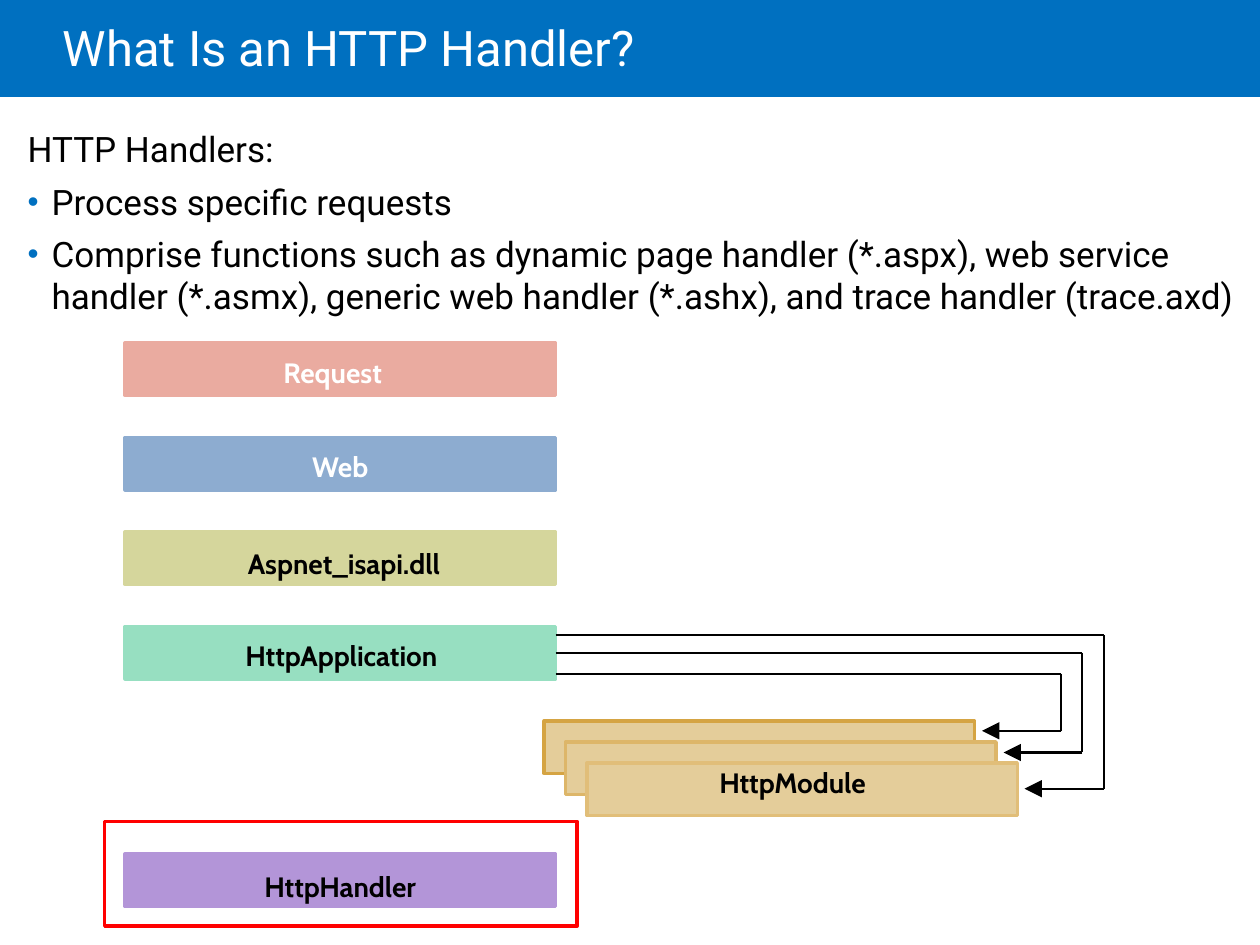
from lxml import etree
from pptx import Presentation
from pptx.dml.color import RGBColor
from pptx.enum.shapes import MSO_CONNECTOR as Connector, MSO_SHAPE as Preset
from pptx.enum.text import MSO_ANCHOR as Anchor, PP_ALIGN as Align
from pptx.oxml.ns import qn
from pptx.util import Pt

BLUE, BLACK, WHITE = "0070C0", "000000", "FFFFFF"
SAND = "E4CD9A"
BOX_LEFT, BOX_WIDTH, BOX_HEIGHT = 71.5, 246, 30
BOX_RIGHT = BOX_LEFT + BOX_WIDTH
STACK_TOP, STACK_STEP = 196, 54
LABEL_HEIGHT = 26.6

# name, fill, text colour, label left, label top, label width
STAGES = [
    ("Request", "EAABA0", WHITE, 129.6, 199.4, 121),
    ("Web", "8DACD0", WHITE, 133.9, 253.4, 121),
    ("Aspnet_isapi.dll", "D5D69C", BLACK, 107.3, 308.9, 178.6),
    ("HttpApplication", "97DFC1", BLACK, 116.6, 361.4, 157),
]
MODULE_LINES = ["D5A443", "DDB669", "E1BE79"]
# start height, turn position, arrow tip position and height
ROUTES = [
    (385, 606.5, 561.2, 417.6),
    (373, 618.5, 573.5, 430),
    (363, 630.7, 585.5, 450.7),
]


def color(value):
    return RGBColor.from_string(value)


def add_box(slide, left, top, width, height, fill=None, line=None, line_width=2):
    shape = slide.shapes.add_shape(
        Preset.RECTANGLE, Pt(left), Pt(top), Pt(width), Pt(height))
    shape.shadow.inherit = False
    if fill:
        shape.fill.solid()
        shape.fill.fore_color.rgb = color(fill)
    else:
        shape.fill.background()
    if line:
        shape.line.color.rgb = color(line)
        shape.line.width = Pt(line_width)
    else:
        shape.line.fill.background()
    return shape


def add_bullet(paragraph, char, bullet_color):
    properties = paragraph._p.get_or_add_pPr()
    properties.set("marL", str(Pt(13.7)))
    properties.set("indent", str(-Pt(13.7)))
    holder = etree.SubElement(properties, qn("a:buClr"))
    etree.SubElement(holder, qn("a:srgbClr"), val=bullet_color)
    etree.SubElement(properties, qn("a:buSzPct"), val="90000")
    etree.SubElement(properties, qn("a:buFont"), typeface="Arial")
    etree.SubElement(properties, qn("a:buChar"), char=char)


def format_paragraph(paragraph, text, size=16, font="Roboto", text_color=BLACK,
                     bold=False, align=None, bullet=None, before=0, spacing=None):
    paragraph.text = text
    if bullet:
        add_bullet(paragraph, bullet, BLUE)
    paragraph.alignment = align
    paragraph.space_before = Pt(before)
    paragraph.line_spacing = spacing
    paragraph.font.size = Pt(size)
    paragraph.font.name = font
    paragraph.font.bold = bold
    paragraph.font.color.rgb = color(text_color)


def add_text_frame(slide, left, top, width, height,
                   insets=(7.2, 3.6, 7.2, 3.6), anchor=Anchor.TOP):
    box = slide.shapes.add_textbox(Pt(left), Pt(top), Pt(width), Pt(height))
    frame = box.text_frame
    frame.word_wrap = True
    frame.vertical_anchor = anchor
    (frame.margin_left, frame.margin_top,
     frame.margin_right, frame.margin_bottom) = map(Pt, insets)
    return frame


def add_label(slide, text, left, top, width, text_color=BLACK):
    frame = add_text_frame(slide, left, top, width, LABEL_HEIGHT)
    format_paragraph(frame.paragraphs[0], text, font="Cabin", bold=True,
                     text_color=text_color, align=Align.CENTER)


def add_line(slide, start, end, arrow=False):
    connector = slide.shapes.add_connector(
        Connector.STRAIGHT, *map(Pt, (*start, *end)))
    connector.line.color.rgb = color(BLACK)
    connector.line.width = Pt(1.25)
    if arrow:
        etree.SubElement(connector.line._get_or_add_ln(), qn("a:tailEnd"),
                         type="triangle", w="lg", len="lg")
    etree.SubElement(connector._element.spPr, qn("a:effectLst"))
    return connector


def add_header(slide):
    add_box(slide, 0, 0, 720, 55.4, fill=BLUE)
    frame = add_text_frame(slide, 36, 0, 612, 58.3, (0, 3.6, 7.2, 3.6), Anchor.MIDDLE)
    format_paragraph(frame.paragraphs[0], "What Is an HTTP Handler?",
                     size=28, text_color=WHITE, spacing=0.85)


def add_body(slide):
    frame = add_text_frame(slide, 15.8, 73, 701.3, 112, (0, 0, 0, 0))
    format_paragraph(frame.paragraphs[0], "HTTP Handlers:", size=20)
    for text in (
        "Process specific requests",
        "Comprise functions such as dynamic page handler (*.aspx), web service "
        "handler (*.asmx), generic web handler (*.ashx), and trace handler (trace.axd)",
    ):
        format_paragraph(frame.add_paragraph(), text, size=20, bullet="•", before=6)


def add_stages(slide):
    for index, (name, fill, text_color, left, top, width) in enumerate(STAGES):
        box = add_box(slide, BOX_LEFT, STACK_TOP + index * STACK_STEP,
                      BOX_WIDTH, BOX_HEIGHT, fill, fill)
        add_label(slide, name, left, top, width, text_color)
    return box


def add_modules(slide):
    for index, line in enumerate(MODULE_LINES):
        add_box(slide, 311 + index * 12.2, 412 + index * 12,
                BOX_WIDTH, BOX_HEIGHT, SAND, line)
    add_label(slide, "HttpModule", 392.4, 434.2, 121)


def add_routes(slide, application):
    middle = STACK_TOP + 3 * STACK_STEP + BOX_HEIGHT / 2
    for start_y, turn_x, tip_x, tip_y in ROUTES:
        outgoing = add_line(slide, (BOX_RIGHT, start_y), (turn_x, start_y))
        if start_y == middle:
            outgoing.begin_connect(application, 3)
        add_line(slide, (turn_x, start_y), (turn_x, tip_y))
        add_line(slide, (turn_x, tip_y), (tip_x, tip_y), arrow=True)


def add_handler(slide):
    add_box(slide, 59.8, 469.4, 270, 59.8, line="FF0000")
    add_box(slide, BOX_LEFT, 488, BOX_WIDTH, BOX_HEIGHT, "B395D8", "B395D8")
    add_label(slide, "HttpHandler", 133.9, 493.2, 121)


def main():
    presentation = Presentation()
    presentation.slide_width, presentation.slide_height = Pt(720), Pt(540)
    slide = presentation.slides.add_slide(presentation.slide_layouts[6])

    # Title bar and explanation
    add_header(slide)
    add_body(slide)

    # Request pipeline
    application = add_stages(slide)
    add_routes(slide, application)
    add_modules(slide)
    add_handler(slide)

    presentation.save("out.pptx")


if __name__ == "__main__":
    main()
